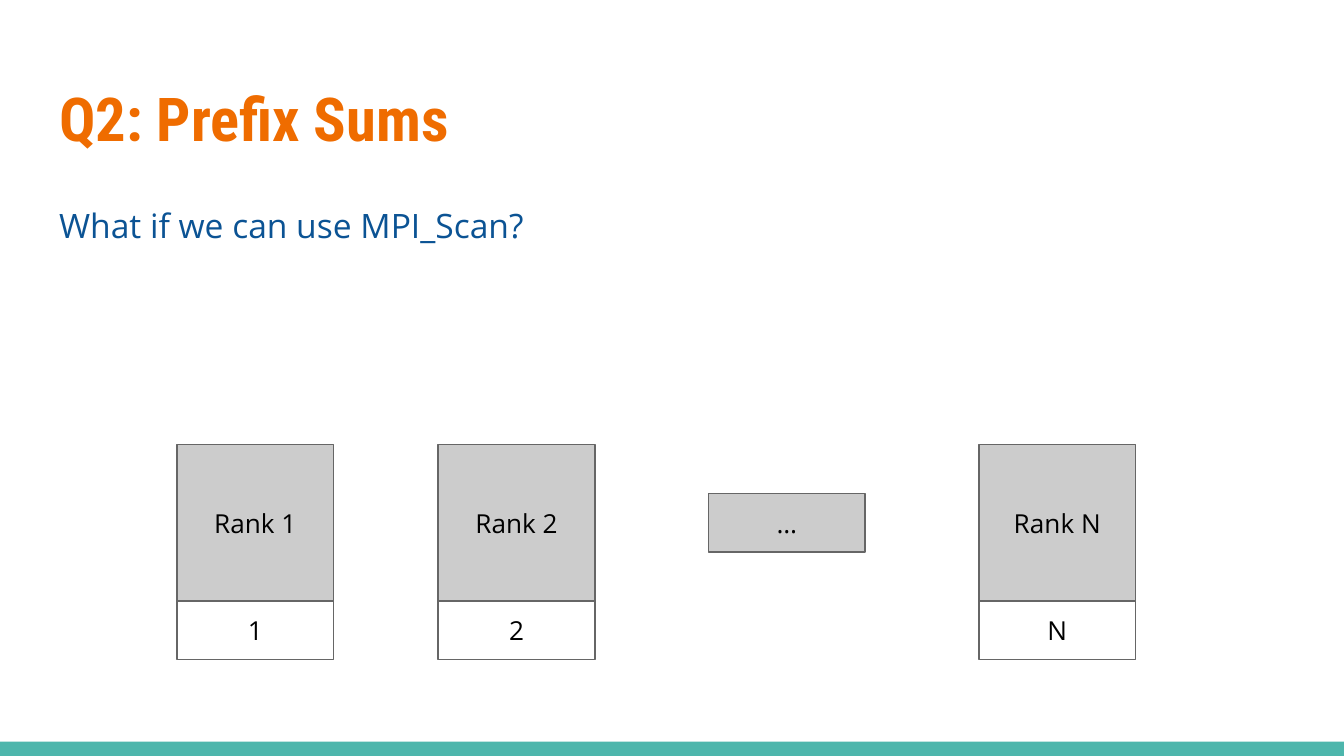
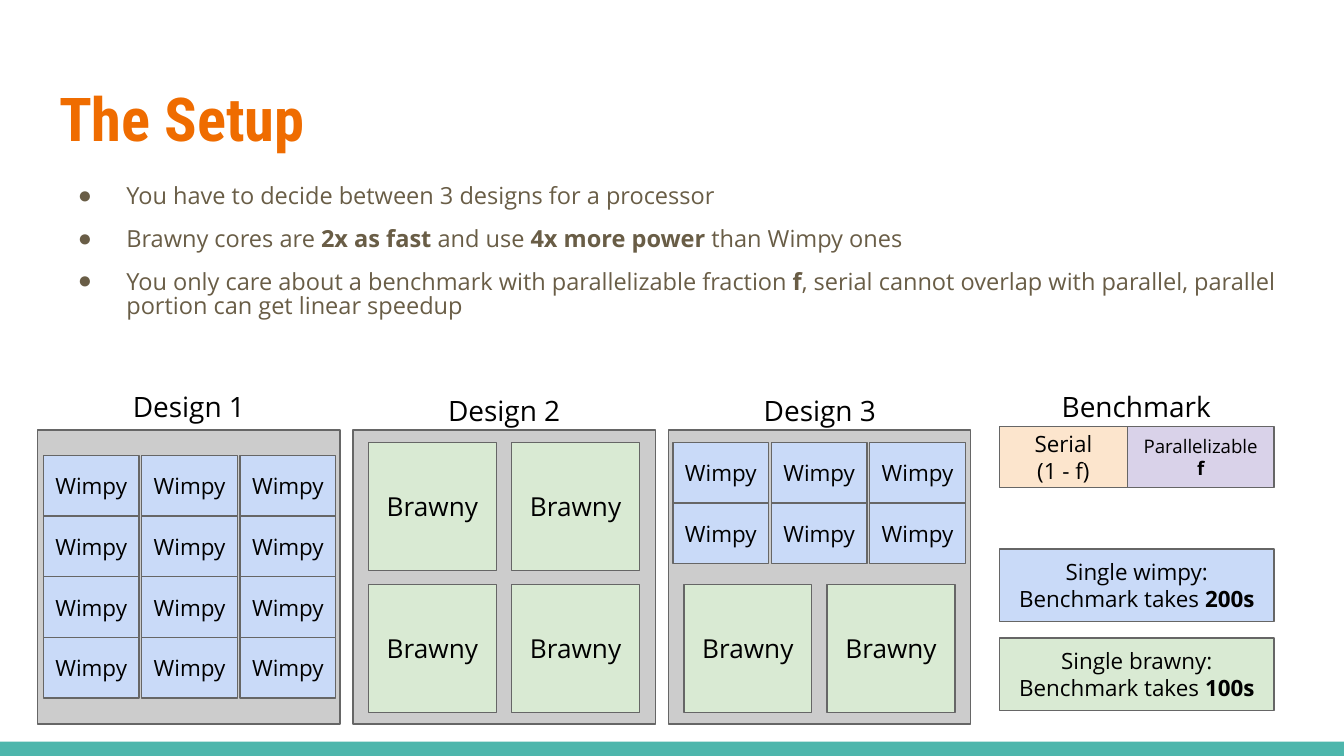
from dataclasses import dataclass
from typing import Any

from lxml.etree import SubElement
from pptx import Presentation
from pptx.dml.color import RGBColor
from pptx.enum.shapes import MSO_SHAPE as SHAPE
from pptx.enum.text import MSO_ANCHOR as ANCHOR, MSO_AUTO_SIZE as AUTO, PP_ALIGN as ALIGN
from pptx.oxml.ns import qn
from pptx.util import Pt

TEAL, ORANGE, NAVY, BROWN = "4DB6AC", "EF6C00", "0B5394", "695D46"
WHITE, BLACK, GRAY, EDGE = "FFFFFF", "000000", "CCCCCC", "666666"
BLUE, GREEN, PEACH, LILAC = "C9DAF8", "D9EAD3", "FCE5CD", "D9D2E9"
BODY_FONT, TITLE_FONT = "Open Sans", "Roboto Condensed"


@dataclass(frozen=True)
class Box:
    x: float
    y: float
    w: float
    h: float
    fill: str
    lines: tuple[str, ...] = ()
    size: float = 14
    inset: float = 7.2


@dataclass(frozen=True)
class Grid:
    x: float
    y: float
    cols: int
    rows: int


@dataclass(frozen=True)
class Core:
    name: str
    w: float
    h: float
    dx: float
    dy: float
    fill: str
    size: float
    inset: float


WIMPY = Core("Wimpy", 51.2, 32.5, 52.7, 32.5, BLUE, 12, 2.88)
BRAWNY = Core("Brawny", 68.5, 68.5, 76.7, 76.1, GREEN, 14, 7.2)


def rgb(value: str) -> RGBColor:
    return RGBColor.from_string(value)


def assign(obj: Any, values: dict[str, Any]) -> None:
    for key, value in values.items():
        setattr(obj, key, value)


def place(sp: Any, x: float, y: float, w: float, h: float) -> None:
    assign(sp, {"left": Pt(x), "top": Pt(y), "width": Pt(w), "height": Pt(h)})


def set_frame(tf: Any, anchor: Any, inset: float = 7.2, auto: Any = AUTO.NONE) -> None:
    sides = ("left", "top", "right", "bottom")
    assign(tf, {f"margin_{side}": Pt(inset) for side in sides})
    assign(tf, {"word_wrap": True, "auto_size": auto, "vertical_anchor": anchor})


def write(p: Any, text: str, size: float, color: str, name: str = BODY_FONT,
          bold: bool = False) -> None:
    for i, part in enumerate(text.split("**")):
        if part:
            r = p.add_run()
            r.text = part
            assign(r.font, {"name": name, "size": Pt(size), "bold": bold or i % 2 == 1})
            r.font.color.rgb = rgb(color)


def fill_lines(tf: Any, lines: tuple[str, ...], size: float, color: str,
               values: dict[str, Any]) -> list[Any]:
    for i, line in enumerate(lines):
        p = tf.paragraphs[0] if i == 0 else tf.add_paragraph()
        assign(p, values)
        write(p, line, size, color)
    return list(tf.paragraphs)


def add_rect(shapes: Any, box: Box, edge: str | None = EDGE) -> None:
    sp = shapes.add_shape(SHAPE.RECTANGLE, Pt(box.x), Pt(box.y), Pt(box.w), Pt(box.h))
    sp.shadow.inherit = False
    sp.fill.solid()
    sp.fill.fore_color.rgb = rgb(box.fill)
    if edge:
        sp.line.color.rgb = rgb(edge)
        sp.line.width = Pt(0.75)
    else:
        sp.line.fill.background()
    if box.lines:
        set_frame(sp.text_frame, ANCHOR.MIDDLE, box.inset)
        fill_lines(sp.text_frame, box.lines, box.size, BLACK, {"alignment": ALIGN.CENTER})


def add_cores(shapes: Any, core: Core, grid: Grid) -> None:
    for row in range(grid.rows):
        for col in range(grid.cols):
            add_rect(shapes, Box(grid.x + col * core.dx, grid.y + row * core.dy, core.w, core.h,
                                 core.fill, (core.name,), core.size, core.inset))


def add_label(shapes: Any, text: str, x: float, y: float, w: float) -> None:
    sp = shapes.add_textbox(Pt(x), Pt(y), Pt(w), Pt(32.4))
    set_frame(sp.text_frame, ANCHOR.TOP, auto=AUTO.SHAPE_TO_FIT_TEXT)
    fill_lines(sp.text_frame, (text,), 15, BLACK,
               {"alignment": ALIGN.CENTER, "line_spacing": 1.15})


def set_bullet(p: Any, char: str | None = None) -> None:
    pPr = p._p.get_or_add_pPr()
    pPr.set("marL", str(Pt(36 if char else 0)))
    pPr.set("indent", str(Pt(-26 if char else 0)))
    if char:
        SubElement(SubElement(pPr, qn("a:buClr")), qn("a:srgbClr")).set("val", BROWN)
        SubElement(pPr, qn("a:buChar")).set("char", char)
    else:
        SubElement(pPr, qn("a:buNone"))


def new_slide(prs: Any, title: str, body_y: float, body_h: float) -> tuple[Any, Any]:
    s = prs.slides.add_slide(prs.slide_layouts[1])
    s.background.fill.solid()
    s.background.fill.fore_color.rgb = rgb(WHITE)
    add_rect(s.shapes, Box(0, 397.3, 720, 7.7, TEAL), edge=None)
    sp = s.shapes.title
    place(sp, 24.5, 35.3, 671, 55.4)
    set_frame(sp.text_frame, ANCHOR.MIDDLE)
    p = sp.text_frame.paragraphs[0]
    p.alignment = ALIGN.LEFT
    write(p, title, 32.4, ORANGE, TITLE_FONT, True)
    body = s.placeholders[1]
    place(body, 24.5, body_y, 671, body_h)
    set_frame(body.text_frame, ANCHOR.TOP)
    return s.shapes, body.text_frame


def build_prefix_sums(prs: Any) -> None:
    shapes, tf = new_slide(prs, "Q2: Prefix Sums", 99.4, 260)
    values = {"line_spacing": 1.15, "space_before": Pt(0), "space_after": Pt(12)}
    for p in fill_lines(tf, ("What if we can use MPI_Scan?",), 18, NAVY, values):
        set_bullet(p)
    for x, rank in ((94.8, "1"), (234.7, "2"), (524.4, "N")):
        add_rect(shapes, Box(x, 238, 84, 84, GRAY, (f"Rank {rank}",)))
        add_rect(shapes, Box(x, 322, 84, 31.4, WHITE, (rank,)))
    add_rect(shapes, Box(379.5, 264.3, 84, 31.4, GRAY, ("…",)))


def build_setup(prs: Any) -> None:
    shapes, tf = new_slide(prs, "The Setup", 92.2, 107.3)
    points = (
        "You have to decide between 3 designs for a processor",
        "Brawny cores are **2x as fast** and use **4x more power** than Wimpy ones",
        "You only care about a benchmark with parallelizable fraction **f**, serial cannot "
        "overlap with parallel, parallel portion can get linear speedup",
    )
    values = {"line_spacing": 0.85, "space_before": Pt(10), "space_after": Pt(0)}
    paragraphs = fill_lines(tf, points, 12.6, BROWN, values)
    for p in paragraphs:
        set_bullet(p, "●")
    paragraphs[0].space_before = Pt(0)
    paragraphs[-1].space_after = Pt(10)

    for i in range(3):
        add_rect(shapes, Box(20.1 + i * 169, 230.4, 162, 157.6, GRAY))
    add_cores(shapes.add_group_shape().shapes, WIMPY, Grid(23.3, 244, 3, 4))
    add_cores(shapes, BRAWNY, Grid(197.4, 237, 2, 2))
    add_cores(shapes, WIMPY, Grid(360.6, 237, 3, 2))
    add_cores(shapes, BRAWNY, Grid(366.4, 313.1, 2, 1))

    for box in (
        Box(535.5, 228.5, 68.4, 32.7, PEACH, ("Serial", "(1 - f)"), 12),
        Box(603.9, 228.5, 78.7, 32.7, LILAC, ("Parallelizable", "**f**"), 10),
        Box(535.5, 294.2, 147.1, 38.8, BLUE, ("Single wimpy:", "Benchmark takes **200s**"), 12),
        Box(535.5, 341.8, 147.1, 38.8, GREEN, ("Single brawny:", "Benchmark takes **100s**"), 12),
    ):
        add_rect(shapes, box)
    for text, x, y, w in (
        ("Design 1", 42.2, 198.7, 118),
        ("Design 2", 211.1, 200.9, 118),
        ("Design 3", 380.2, 200.9, 118),
        ("Benchmark", 546.5, 198.7, 124.6),
    ):
        add_label(shapes, text, x, y, w)


def main() -> None:
    prs = Presentation()
    assign(prs, {"slide_width": Pt(720), "slide_height": Pt(405)})
    build_prefix_sums(prs)
    build_setup(prs)
    prs.save("out.pptx")


if __name__ == "__main__":
    main()
